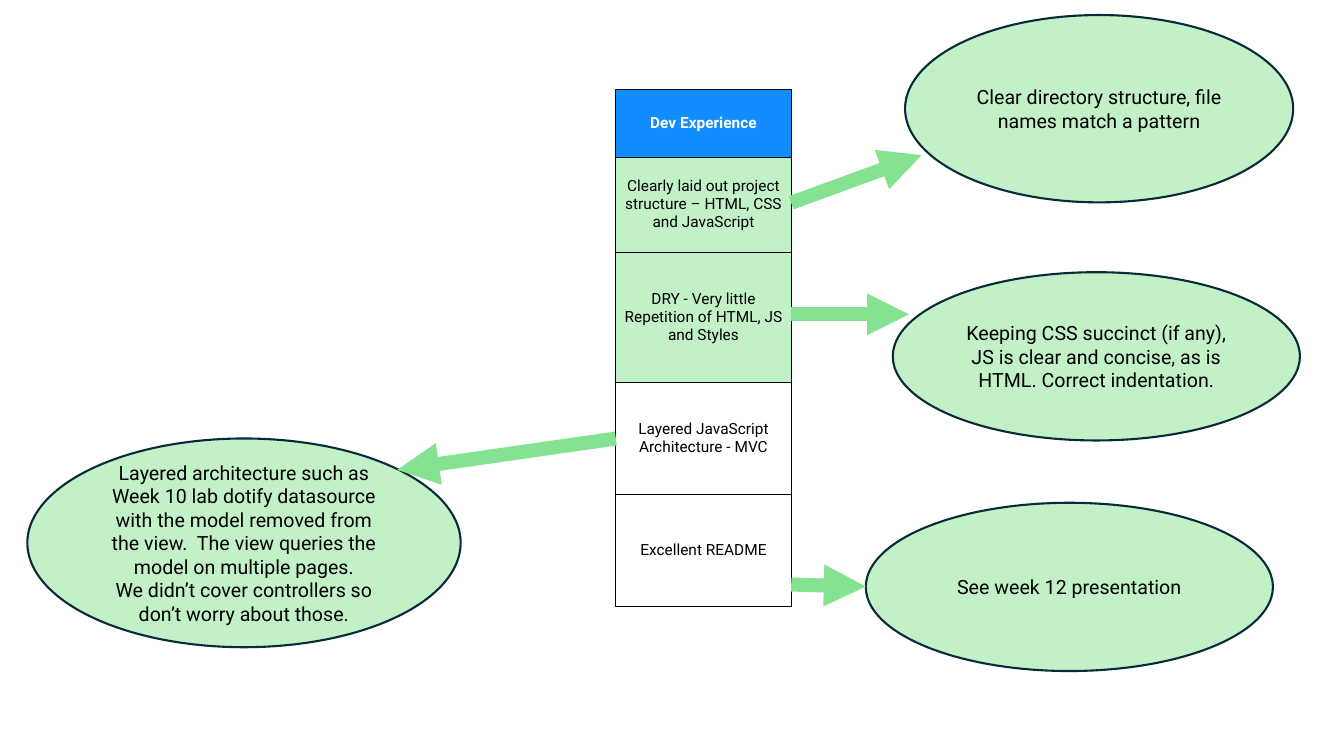
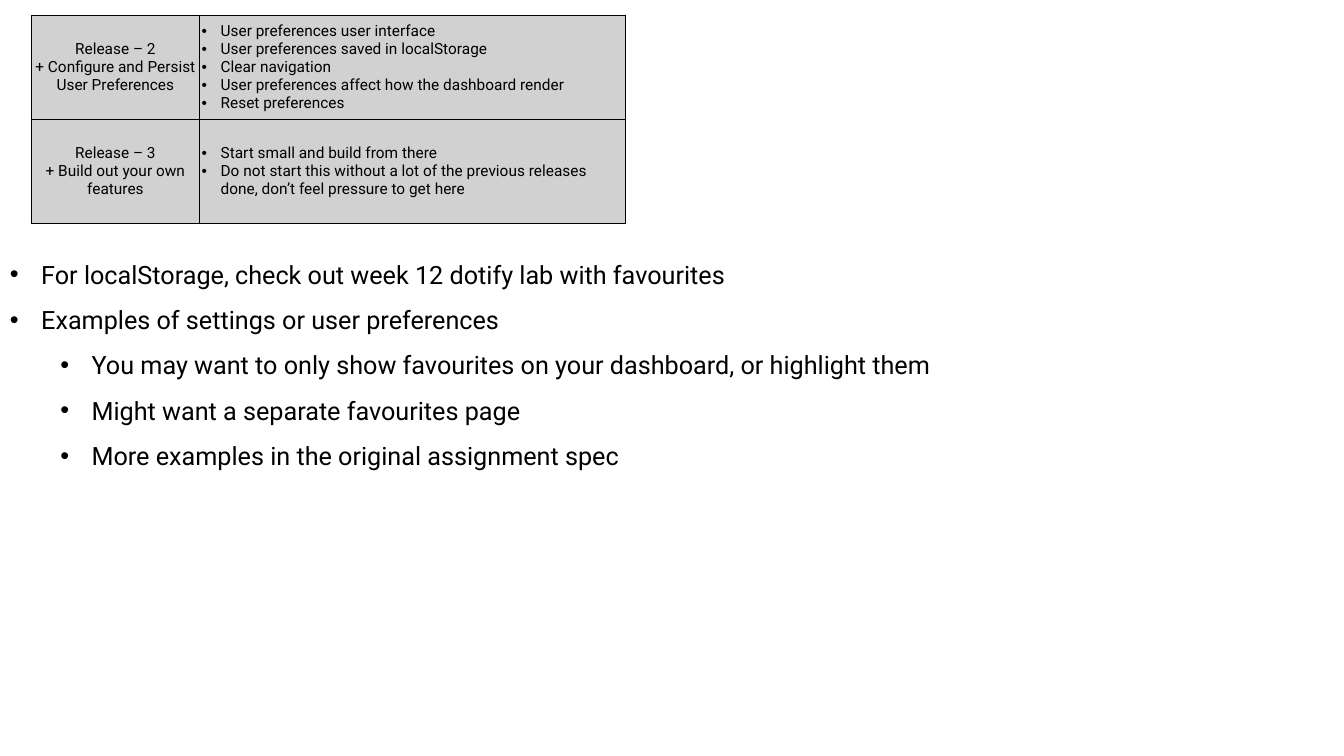
from lxml import etree
from pptx import Presentation
from pptx.dml.color import RGBColor
from pptx.enum.shapes import MSO_CONNECTOR, MSO_SHAPE
from pptx.enum.text import MSO_ANCHOR, MSO_AUTO_SIZE, PP_ALIGN
from pptx.oxml.ns import qn
from pptx.util import Cm, Pt

# Shared look
BLACK = RGBColor(0x00, 0x00, 0x00)
WHITE = RGBColor(0xFF, 0xFF, 0xFF)
BLUE = RGBColor(0x11, 0x8D, 0xFF)
PALE_GREEN = RGBColor(0xC2, 0xF1, 0xC8)
ARROW_GREEN = RGBColor(0x84, 0xE2, 0x91)
NAVY = RGBColor(0x09, 0x2A, 0x39)
GREY = RGBColor(0xD1, 0xD1, 0xD1)
FONT = "Roboto"
CELL_SIZE, NOTE_SIZE, BODY_SIZE = 11, 14, 18
CELL_MARGIN = Cm(0.05)

OVAL = MSO_SHAPE.OVAL
STRAIGHT = MSO_CONNECTOR.STRAIGHT
MIDDLE = MSO_ANCHOR.MIDDLE
CENTER = PP_ALIGN.CENTER
GROW = MSO_AUTO_SIZE.SHAPE_TO_FIT_TEXT
BLANK_LAYOUT = 6

# Criteria table and the notes around it
TABLE_LEFT, TABLE_TOP, TABLE_WIDTH = 15.52, 2.26, 4.42
TABLE_RIGHT = TABLE_LEFT + TABLE_WIDTH
CRITERIA = [
    ("Dev Experience", 1.7, BLUE),
    ("Clearly laid out project structure – HTML, CSS and JavaScript", 2.39, PALE_GREEN),
    ("DRY - Very little Repetition of HTML, JS and Styles", 3.28, PALE_GREEN),
    ("Layered JavaScript Architecture - MVC", 2.82, None),
    ("Excellent README", 2.84, None),
]
# Each note: text, (left, top, width, height), arrow start, arrow end
NOTES = [
    ("Clear directory structure, file names match a pattern",
     (22.81, 0.38, 9.78, 4.72), (TABLE_RIGHT, 5.11), (23.22, 3.91)),
    ("Keeping CSS succinct (if any), JS is clear and concise, as is HTML. "
     "Correct indentation.",
     (22.5, 6.86, 10.26, 4.24), (TABLE_RIGHT, 7.92), (22.91, 7.92)),
    ("See week 12 presentation",
     (21.82, 12.67, 10.26, 4.24), (TABLE_RIGHT, 14.73), (21.82, 14.78)),
    ("Layered architecture such as Week 10 lab dotify datasource with the model "
     "removed from the view.  The view queries the model on multiple pages.\n"
     "We didn’t cover controllers so don’t worry about those.",
     (0.69, 11.05, 10.92, 5.26), (TABLE_LEFT, 11.05), (10.01, 11.84)),
]

# Releases and advice
RELEASES = [
    ("Release – 2\n+ Configure and Persist User Preferences",
     ["User preferences user interface",
      "User preferences saved in localStorage",
      "Clear navigation",
      "User preferences affect how the dashboard render",
      "Reset preferences"]),
    ("Release – 3\n+ Build out your own features",
     ["Start small and build from there",
      "Do not start this without a lot of the previous releases done, "
      "don’t feel pressure to get here"]),
]
ADVICE = [
    (0, "For localStorage, check out week 12 dotify lab with favourites"),
    (0, "Examples of settings or user preferences"),
    (1, "You may want to only show favourites on your dashboard, or highlight them"),
    (1, "Might want a separate favourites page"),
    (1, "More examples in the original assignment spec"),
]


def format_runs(paragraph, size, color=BLACK, bold=False):
    for run in paragraph.runs:
        run.font.name = FONT
        run.font.size = Pt(size)
        run.font.color.rgb = color
        run.font.bold = bold


def write_centred(frame, text, size, color=BLACK, bold=False):
    paragraph = frame.paragraphs[0]
    paragraph.text = text
    paragraph.alignment = CENTER
    format_runs(paragraph, size, color, bold)


def write_bullets(frame, items, size, hang, step=0, spacing=None):
    """Write (level, text) items with a hanging bullet."""
    for index, (level, text) in enumerate(items):
        paragraph = frame.add_paragraph() if index else frame.paragraphs[0]
        paragraph.text = text
        paragraph.level = level
        properties = paragraph._p.get_or_add_pPr()
        properties.set("marL", str(Cm(hang + level * step)))
        properties.set("indent", str(-Cm(hang)))
        etree.SubElement(properties, qn("a:buFont"), typeface="Arial")
        etree.SubElement(properties, qn("a:buChar"), char="•")
        if spacing:
            paragraph.line_spacing = spacing
        format_runs(paragraph, size)


def add_note(slide, text, box):
    note = slide.shapes.add_shape(OVAL, *map(Cm, box))
    note.shadow.inherit = False
    note.fill.solid()
    note.fill.fore_color.rgb = PALE_GREEN
    note.line.color.rgb = NAVY
    note.line.width = Pt(1.5)
    note.text_frame.word_wrap = True
    note.text_frame.vertical_anchor = MIDDLE
    write_centred(note.text_frame, text, NOTE_SIZE)


def add_arrow(slide, start, end):
    arrow = slide.shapes.add_connector(STRAIGHT, *map(Cm, start + end))
    arrow.line.color.rgb = ARROW_GREEN
    arrow.line.width = Pt(10)
    etree.SubElement(arrow.line._get_or_add_ln(), qn("a:tailEnd"), type="triangle")
    etree.SubElement(arrow._element.spPr, qn("a:effectLst"))


def style_cell(cell, fill):
    """Set margins, thin black borders and the fill."""
    cell.margin_left = cell.margin_right = CELL_MARGIN
    cell.margin_top = cell.margin_bottom = CELL_MARGIN
    cell.vertical_anchor = MIDDLE
    properties = cell._tc.get_or_add_tcPr()
    for side in ("lnL", "lnR", "lnT", "lnB"):
        border = etree.SubElement(properties, qn(f"a:{side}"), w=str(Pt(0.75)))
        solid = etree.SubElement(border, qn("a:solidFill"))
        etree.SubElement(solid, qn("a:srgbClr"), val=str(BLACK))
    if fill is None:
        cell.fill.background()
    else:
        cell.fill.solid()
        cell.fill.fore_color.rgb = fill


def add_grid(slide, left, top, widths, heights):
    frame = slide.shapes.add_table(len(heights), len(widths), Cm(left), Cm(top),
                                   Cm(sum(widths)), Cm(sum(heights)))
    grid = frame.table
    grid.first_row = grid.horz_banding = False
    for column, width in zip(grid.columns, widths):
        column.width = Cm(width)
    for row, height in zip(grid.rows, heights):
        row.height = Cm(height)
    return grid


def build_experience_slide(slide):
    heights = [height for _, height, _ in CRITERIA]
    grid = add_grid(slide, TABLE_LEFT, TABLE_TOP, [TABLE_WIDTH], heights)
    for index, (text, _, fill) in enumerate(CRITERIA):
        cell = grid.cell(index, 0)
        style_cell(cell, fill)
        heading = index == 0
        write_centred(cell.text_frame, text, CELL_SIZE,
                      WHITE if heading else BLACK, heading)
    for text, box, start, end in NOTES:
        add_note(slide, text, box)
        add_arrow(slide, start, end)


def build_releases_slide(slide):
    advice = slide.shapes.add_textbox(Cm(0), Cm(6.02), Cm(33.87), Cm(5.92))
    advice.text_frame.word_wrap = True
    advice.text_frame.auto_size = GROW
    write_bullets(advice.text_frame, ADVICE, BODY_SIZE, 0.79, 1.27, 1.5)

    grid = add_grid(slide, 0.79, 0.38, [4.24, 10.74], [2.62] * len(RELEASES))
    for index, (release, tasks) in enumerate(RELEASES):
        release_cell, tasks_cell = grid.cell(index, 0), grid.cell(index, 1)
        style_cell(release_cell, GREY)
        style_cell(tasks_cell, GREY)
        write_centred(release_cell.text_frame, release, CELL_SIZE)
        write_bullets(tasks_cell.text_frame, [(0, task) for task in tasks],
                      CELL_SIZE, 0.48)


def main():
    deck = Presentation()
    deck.slide_width, deck.slide_height = Cm(33.87), Cm(19.05)
    for build in (build_experience_slide, build_releases_slide):
        build(deck.slides.add_slide(deck.slide_layouts[BLANK_LAYOUT]))
    deck.save("out.pptx")


if __name__ == "__main__":
    main()
